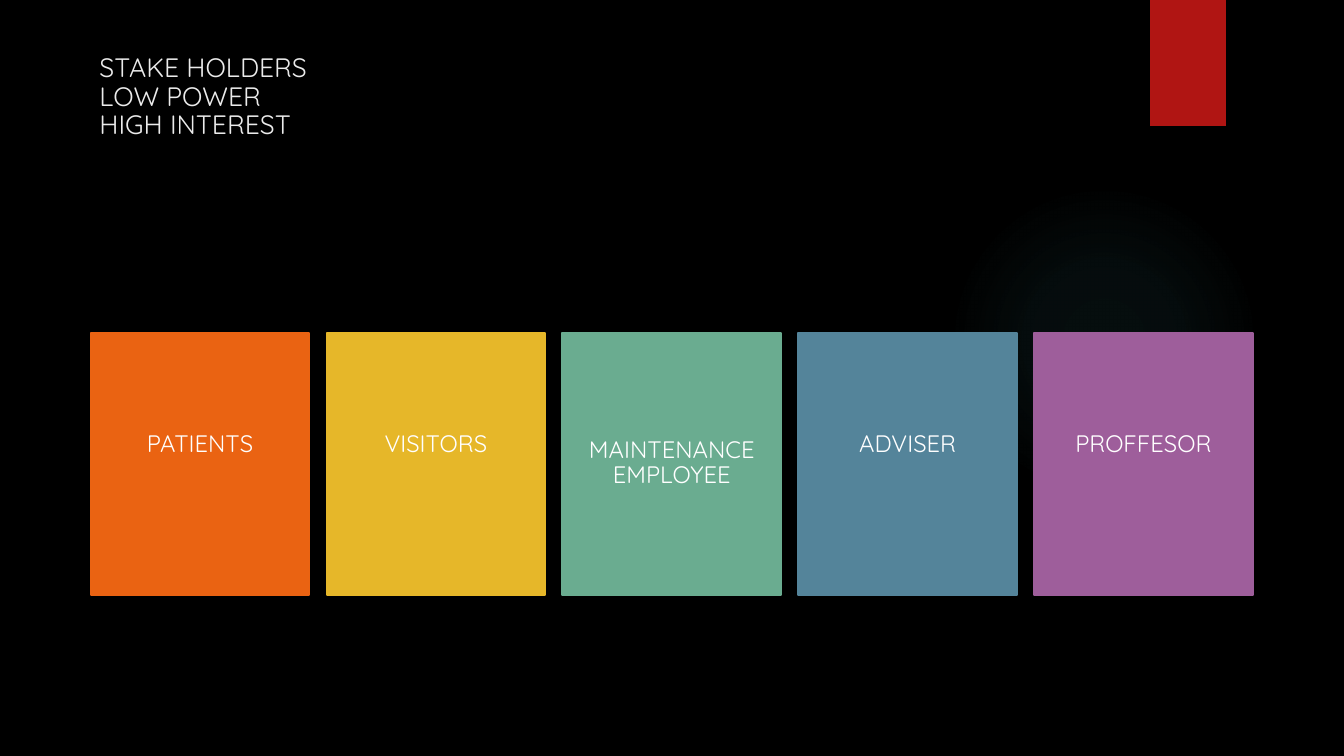
from dataclasses import dataclass

import pptx
import pptx.dml.color
import pptx.enum.shapes
import pptx.enum.text
import pptx.oxml
import pptx.oxml.ns
import pptx.util
from pptx.util import Pt

COLORS = {
    "background": "000000",
    "title": "EBEBEB",
    "label": "FFFFFF",
    "glow": "50B9C1",
    "ribbon": "B01513",
    "orange": "EA6312",
    "yellow": "E6B729",
    "green": "6AAC90",
    "blue": "54849A",
    "purple": "9E5E9B",
}
FONT = "Quicksand"
CARD_LEFT, CARD_TOP, CARD_WIDTH, CARD_HEIGHT = 64.8, 237.6, 156.24, 187.2
CARD_PITCH = 168.48
LABEL_OFFSET = 74.88


@dataclass(frozen=True)
class Box:
    left: float
    top: float
    width: float
    height: float

    def lengths(self) -> tuple:
        return Pt(self.left), Pt(self.top), Pt(self.width), Pt(self.height)


@dataclass(frozen=True)
class Card:
    label: str
    color: str


CARDS = [
    Card("PATIENTS", "orange"),
    Card("VISITORS", "yellow"),
    Card("MAINTENANCE EMPLOYEE", "green"),
    Card("ADVISER", "blue"),
    Card("PROFFESOR", "purple"),
]


def rgb(name: str) -> pptx.dml.color.RGBColor:
    return pptx.dml.color.RGBColor.from_string(COLORS[name])


def add_rect(s, box: Box, color: str, line_width: float = 0):
    sp = s.shapes.add_shape(pptx.enum.shapes.MSO_SHAPE.RECTANGLE, *box.lengths())
    sp.shadow.inherit = False
    sp.fill.solid()
    sp.fill.fore_color.rgb = rgb(color)
    if line_width:
        sp.line.color.rgb = rgb(color)
        sp.line.width = Pt(line_width)
    else:
        sp.line.fill.background()
    return sp


def add_text(s, box: Box, text: str, size: float, color: str,
             align, insets: tuple) -> None:
    tf = s.shapes.add_textbox(*box.lengths()).text_frame
    tf.word_wrap = True
    tf.vertical_anchor = pptx.enum.text.MSO_ANCHOR.TOP
    tf.margin_left, tf.margin_top, tf.margin_right, tf.margin_bottom = map(Pt, insets)
    p = tf.paragraphs[0]
    p.text = text
    p.alignment = align
    p.line_spacing = 0.9
    p.font.name = FONT
    p.font.size = Pt(size)
    p.font.color.rgb = rgb(color)


def add_glow(s, box: Box, stops: list) -> None:
    sp = s.shapes.add_shape(pptx.enum.shapes.MSO_SHAPE.OVAL, *box.lengths())
    sp.shadow.inherit = False
    sp.line.fill.background()
    sp.fill.background()
    # Radial gradient fading from the centre
    gs = "".join(
        f'<a:gs pos="{pos * 1000}"><a:srgbClr val="{COLORS["glow"]}">'
        f'<a:alpha val="{alpha * 1000}"/></a:srgbClr></a:gs>'
        for pos, alpha in stops
    )
    gradient = pptx.oxml.parse_xml(
        f'<a:gradFill {pptx.oxml.ns.nsdecls("a")}><a:gsLst>{gs}</a:gsLst>'
        '<a:path path="circle"><a:fillToRect l="50000" t="50000" r="50000" b="50000"/>'
        '</a:path></a:gradFill>'
    )
    sp_pr = sp._element.spPr
    sp_pr.replace(sp_pr.find(pptx.oxml.ns.qn("a:noFill")), gradient)


def add_card(s, index: int, card: Card) -> None:
    left = CARD_LEFT + index * CARD_PITCH
    add_rect(s, Box(left, CARD_TOP, CARD_WIDTH, CARD_HEIGHT), card.color, 1.5)
    label_box = Box(left, CARD_TOP + LABEL_OFFSET, CARD_WIDTH, CARD_HEIGHT - LABEL_OFFSET)
    add_text(s, label_box, card.label, 17, "label",
             pptx.enum.text.PP_ALIGN.CENTER, (15, 0, 15, 26))


def main() -> None:
    prs = pptx.Presentation()
    prs.slide_width, prs.slide_height = Pt(960), Pt(540)
    s = prs.slides.add_slide(prs.slide_layouts[6])

    # Backdrop
    s.background.fill.solid()
    s.background.fill.fore_color.rgb = rgb("background")
    add_glow(s, Box(677.5, 131.8, 221.8, 221.8), [(0, 7), (36, 6), (69, 0)])
    add_rect(s, Box(821.6, 0, 54, 90), "ribbon")

    # Title
    add_text(s, Box(64, 35.3, 832.3, 76.3), "STAKE HOLDERS\vLOW POWER\vHIGH INTEREST",
             19, "title", pptx.enum.text.PP_ALIGN.LEFT, (7.2, 3.6, 7.2, 3.6))

    # Stakeholder cards
    for index, card in enumerate(CARDS):
        add_card(s, index, card)

    prs.save("out.pptx")


if __name__ == "__main__":
    main()
